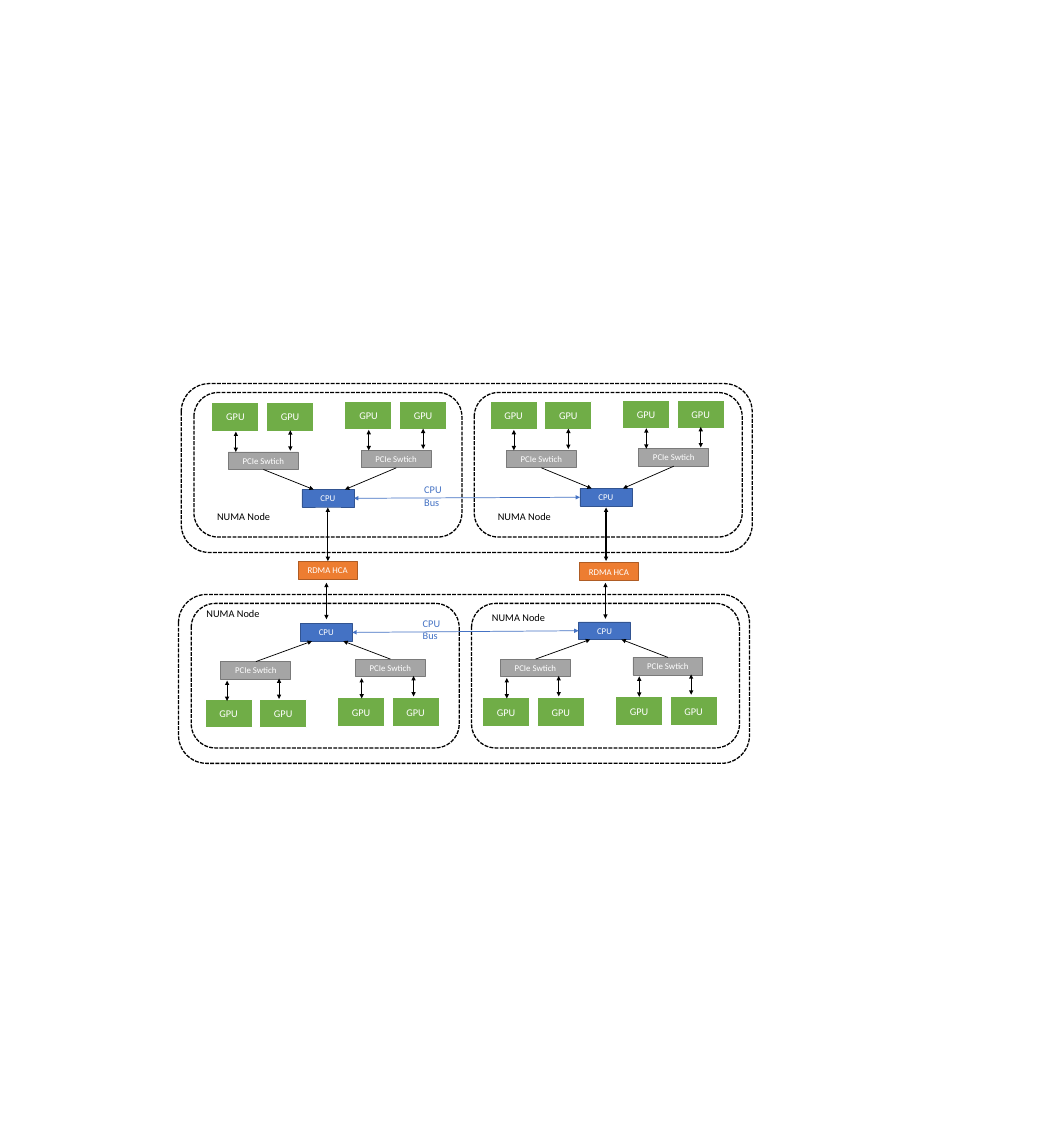
"""Draw two hosts of NUMA nodes joined through RDMA adapters."""
from lxml.etree import SubElement
from pptx import Presentation
from pptx.dml.color import RGBColor
from pptx.enum.dml import MSO_LINE as Dash
from pptx.enum.shapes import MSO_CONNECTOR as Wire, MSO_SHAPE as Form
from pptx.enum.text import MSO_ANCHOR as Anchor, MSO_AUTO_SIZE as Fit, PP_ALIGN as Align
from pptx.oxml.ns import qn
from pptx.util import Cm, Pt

BLACK = RGBColor(0x00, 0x00, 0x00)
WHITE = RGBColor(0xFF, 0xFF, 0xFF)
GREEN = RGBColor(0x70, 0xAD, 0x47)
GRAY = RGBColor(0xA5, 0xA5, 0xA5)
SLATE = RGBColor(0x7A, 0x7A, 0x7A)
BLUE = RGBColor(0x44, 0x72, 0xC4)
NAVY = RGBColor(0x32, 0x54, 0x91)
AMBER = RGBColor(0xED, 0x7D, 0x31)
RUST = RGBColor(0xAF, 0x5C, 0x24)

KINDS = {
    "GPU": dict(w=2.26, h=1.37, fill=GREEN, edge=WHITE, line=1.5, size=14),
    "PCIe Swtich": dict(w=3.35, h=0.84, fill=GRAY, edge=SLATE, line=1, size=12),
    "CPU": dict(w=2.49, h=0.84, fill=BLUE, edge=NAVY, line=1, size=12),
    "RDMA HCA": dict(w=2.82, h=0.87, fill=AMBER, edge=RUST, line=1, size=12),
}

deck = Presentation()
deck.slide_width, deck.slide_height = Cm(50.01), Cm(55.04)
slide = deck.slides.add_slide(deck.slide_layouts[6])
shapes = slide.shapes


def write(frame, text, size, ink, looks):
    for key, val in looks.items():
        setattr(frame, key, val)
    run = frame.paragraphs[0].add_run()
    run.text = text
    for key, val in dict(name="Calibri", size=Pt(size)).items():
        setattr(run.font, key, val)
    run.font.color.rgb = ink


def link(start, end, ink=BLACK, width=1, ends=("headEnd", "tailEnd")):
    wire = shapes.add_connector(Wire.STRAIGHT, *map(Cm, start + end))
    wire.line.color.rgb = ink
    wire.line.width = Pt(width)
    props = wire._element.spPr
    for tip in ends:
        SubElement(props.find(qn("a:ln")), qn("a:" + tip), type="triangle")
    SubElement(props, qn("a:effectLst"))


hosts = [
    dict(at=(8.69, 18.39),
         pods=[(10.16, 19.3, 10.95, 21.67), (16.54, 19.23, 17.32, 21.59),
               (23.5, 19.23, 24.28, 21.59), (29.85, 19.18, 30.63, 21.51)],
         cpus=[(14.48, 23.47), (27.81, 23.42)],
         taps=[(0.36, -0.98), (2.97, -1.04)], exit=0.84, entry=0),
    dict(at=(8.56, 28.5),
         pods=[(9.83, 33.53, 10.59, 31.72), (16.18, 33.45, 17.04, 31.6),
               (23.14, 33.45, 24, 31.6), (29.51, 33.4, 30.35, 31.52)],
         cpus=[(14.4, 29.9), (27.74, 29.82)],
         taps=[(0.3, 0.91), (2.79, 0.81)], exit=0, entry=0.84),
]

frames, parts = [], [("RDMA HCA", 14.3, 26.9), ("RDMA HCA", 27.79, 26.97)]
for host in hosts:
    left, top = host["at"]
    frames.append((left, top, 27.38, 8.1))
    frames += [(left + 0.61 + 13.44 * i, top + 0.43, 12.85, 6.93) for i in range(2)]
    parts += [("CPU", x, y) for x, y in host["cpus"]]
    for gx, gy, sx, sy in host["pods"]:
        parts += [("GPU", gx, gy), ("GPU", gx + 2.62, gy), ("PCIe Swtich", sx, sy)]

for area in frames:
    frame = shapes.add_shape(Form.ROUNDED_RECTANGLE, *map(Cm, area))
    frame.shadow.inherit = False
    frame.fill.background()
    frame.line.color.rgb = BLACK
    for key, val in dict(width=Pt(1.75), dash_style=Dash.SQUARE_DOT).items():
        setattr(frame.line, key, val)

for name, x, y in parts:
    kind = KINDS[name]
    part = shapes.add_shape(Form.RECTANGLE, Cm(x), Cm(y), Cm(kind["w"]), Cm(kind["h"]))
    part.shadow.inherit = False
    part.fill.solid()
    part.fill.fore_color.rgb = kind["fill"]
    part.line.color.rgb = kind["edge"]
    part.line.width = Pt(kind["line"])
    write(part.text_frame, name, kind["size"], WHITE,
          dict(vertical_anchor=Anchor.MIDDLE, word_wrap=True))
    part.text_frame.paragraphs[0].alignment = Align.CENTER

for host in hosts:
    for i, (gx, gy, sx, sy) in enumerate(host["pods"]):
        for dx, dy in host["taps"]:
            link((sx + dx, sy + dy), (sx + dx, sy + dy + 0.98))
        cx, cy = host["cpus"][i // 2]
        link((sx + 1.68, sy + host["exit"]),
             (cx + (0.56, 2.06)[i % 2], cy + host["entry"]), ends=["tailEnd"])
    (ax, ay), (bx, by) = host["cpus"]
    link((ax + 2.49, ay + 0.42), (bx, by + 0.42), BLUE)

for x, top, low in [(15.72, 24.33, 26.9), (15.65, 27.94, 29.69),
                    (29.06, 24.33, 26.9), (29.03, 27.94, 29.67)]:
    link((x, top), (x, low), width=1.75)

for text, ink, width, spots in [
    ("NUMA Node", BLACK, 3.07,
     [(10.16, 24.33), (23.62, 24.33), (9.65, 29.01), (23.34, 29.16)]),
    ("CPU Bus", BLUE, 2.13, [(20.09, 23.06), (20.02, 29.46)]),
]:
    for x, y in spots:
        label = shapes.add_textbox(Cm(x), Cm(y), Cm(width), Cm(0.86))
        write(label.text_frame, text, 14, ink,
              dict(word_wrap=False, auto_size=Fit.SHAPE_TO_FIT_TEXT))

deck.save("out.pptx")
